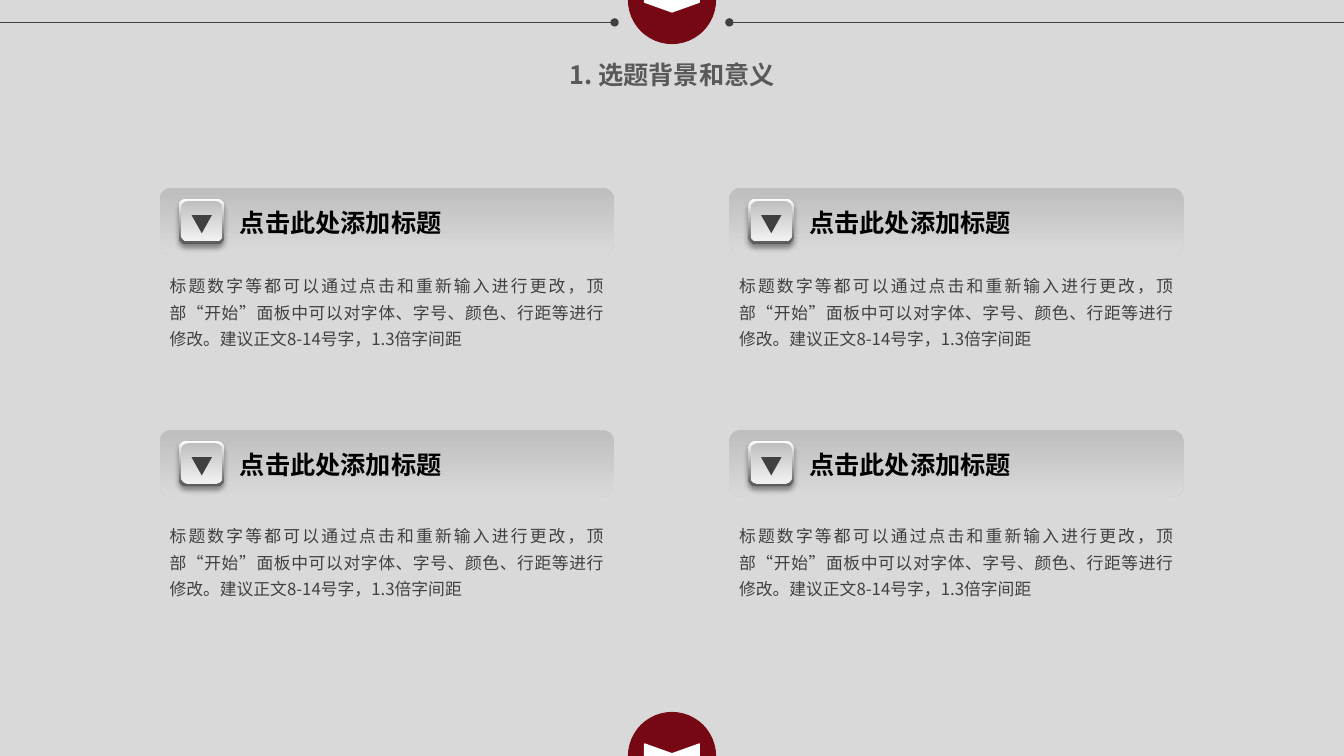
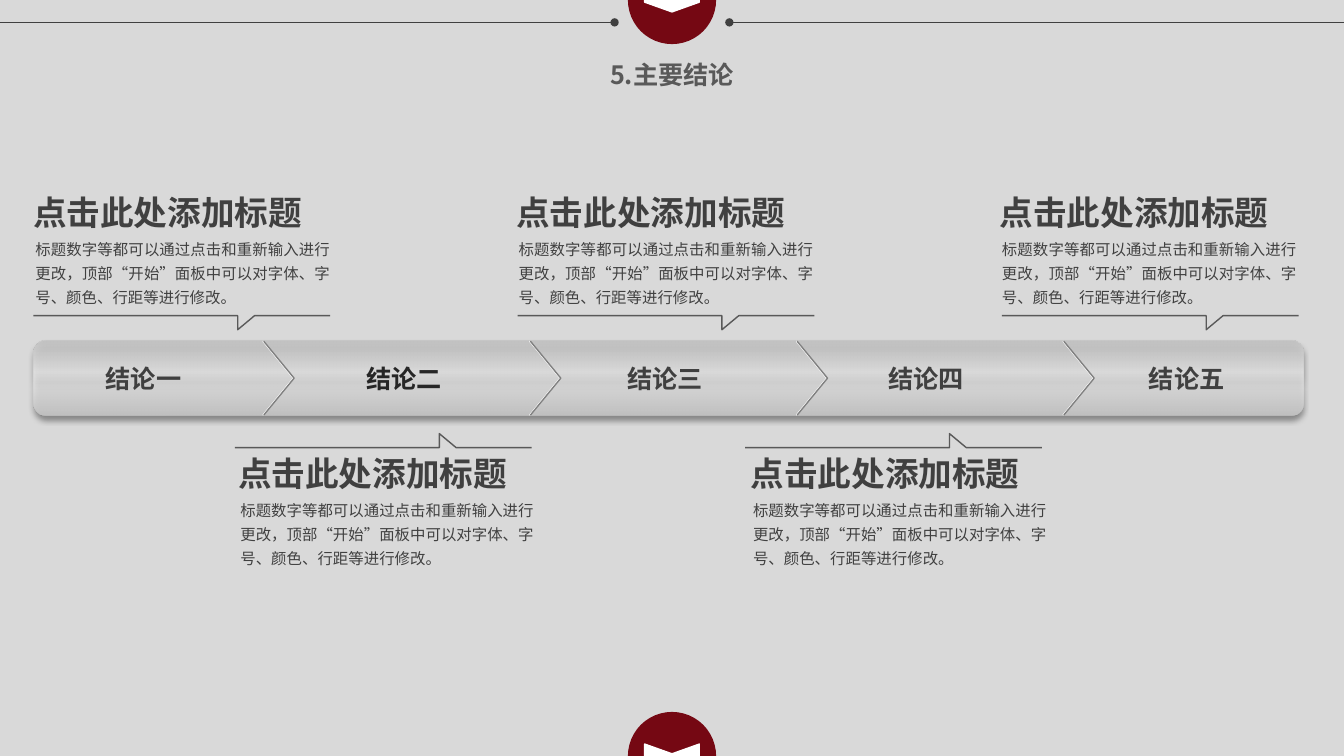
from dataclasses import dataclass

from lxml import etree
from pptx import Presentation
from pptx.dml.color import RGBColor
from pptx.enum import shapes, text
from pptx.oxml import ns
from pptx.util import Pt


@dataclass(frozen=True)
class Theme:
    font: str = "Noto Sans CJK SC"
    back: str = "D9D9D9"
    accent: str = "750813"
    white: str = "FFFFFF"
    black: str = "000000"
    dark: str = "404040"
    darker: str = "262626"
    title: str = "595959"
    edge: str = "808080"
    title_size: float = 18
    heading_size: float = 24
    card_body_size: float = 12
    callout_body_size: float = 11
    leading: float = 1.3


@dataclass(frozen=True)
class Stop:
    pos: int
    color: str
    alpha: int = 100


@dataclass(frozen=True)
class Box:
    x: float
    y: float
    w: float
    h: float

    def emu(self) -> tuple:
        return Pt(self.x), Pt(self.y), Pt(self.w), Pt(self.h)


@dataclass(frozen=True)
class Callout:
    text_x: float
    bracket_x: float
    above: bool


T = Theme()
W, H = 960, 540
SHAPE = shapes.MSO_SHAPE
ALIGN = text.PP_ALIGN

CARD_FILL = (Stop(3, "BFBFBF"), Stop(100, "D9D9D9"))
RIM_FILL = (Stop(0, "FFFFFF"), Stop(100, "595959"))
KEY_FILL = (Stop(0, "BFBFBF"), Stop(100, "F2F2F2"))
BAR_FILL = (Stop(0, "BFBFBF", 86), Stop(42, "E5E5E5", 87),
            Stop(57, "F2F2F2", 60), Stop(100, "BFBFBF"))

HEADING = "点击此处添加标题"
CALLOUT_BODY = ("标题数字等都可以通过点击和重新输入进行更改，顶部“开始”面板中"
                "可以对字体、字号、颜色、行距等进行修改。")
CARD_BODY = CALLOUT_BODY + "建议正文8-14号字，1.3倍字间距"
CONCLUSIONS = ("结论一", "结论二", "结论三", "结论四", "结论五")

CALLOUTS = (
    *(Callout(16.6 + 345.2 * i, 23.8 + 345.9 * i, True) for i in range(3)),
    Callout(163, 167.8, False),
    Callout(529.2, 532.2, False),
)


def rgb(color: str) -> RGBColor:
    return RGBColor.from_string(color)


def add_child(parent, tag: str, **attrs):
    return etree.SubElement(parent, ns.qn(tag),
                            {k: str(v) for k, v in attrs.items()})


def add_color(parent, color: str, alpha: int) -> None:
    clr = add_child(parent, "a:srgbClr", val=color)
    if alpha < 100:
        add_child(clr, "a:alpha", val=alpha * 1000)


def fill_gradient(sp, stops: tuple) -> None:
    """Fill a shape with a top-to-bottom gradient."""
    sp.fill.background()
    sp_pr = sp._element.spPr
    grad = etree.Element(ns.qn("a:gradFill"), rotWithShape="1")
    stop_list = add_child(grad, "a:gsLst")
    for stop in stops:
        gs = add_child(stop_list, "a:gs", pos=stop.pos * 1000)
        add_color(gs, stop.color, stop.alpha)
    add_child(grad, "a:lin", ang=90 * 60000, scaled=0)
    sp_pr.replace(sp_pr.find(ns.qn("a:noFill")), grad)


def drop_shadow(sp) -> None:
    effects = sp._element.spPr.find(ns.qn("a:effectLst"))
    shadow = add_child(effects, "a:outerShdw", blurRad=Pt(4), dist=Pt(3),
                       dir=90 * 60000, algn="t", rotWithShape=0)
    add_color(shadow, T.black, 40)


def add_shape(s, kind, box: Box, fill: str | tuple | None,
              line: str | None = None, rotation: float = 0,
              adjust: float | None = None):
    """Add a preset shape; a tuple of stops as fill makes a gradient."""
    sp = s.shapes.add_shape(kind, *box.emu())
    sp.shadow.inherit = False
    sp.rotation = rotation
    if adjust is not None:
        sp.adjustments[0] = adjust
    if isinstance(fill, tuple):
        fill_gradient(sp, fill)
    elif fill:
        sp.fill.solid()
        sp.fill.fore_color.rgb = rgb(fill)
    else:
        sp.fill.background()
    if line:
        sp.line.color.rgb = rgb(line)
        sp.line.width = Pt(1)
    else:
        sp.line.fill.background()
    return sp


def add_text(s, box: Box, content: str, size: float, color: str,
             bold: bool = False, align=None, leading: float | None = None,
             wrap: bool = True) -> None:
    tf = s.shapes.add_textbox(*box.emu()).text_frame
    tf.word_wrap = wrap
    tf.auto_size = text.MSO_AUTO_SIZE.SHAPE_TO_FIT_TEXT
    p = tf.paragraphs[0]
    p.text = content
    p.alignment = align
    p.line_spacing = leading
    p.font.name = T.font
    p.font.size = Pt(size)
    p.font.bold = bold
    p.font.color.rgb = rgb(color)
    add_child(p._p.pPr.find(ns.qn("a:defRPr")), "a:ea", typeface=T.font)


def add_dotted_rule(s, x1: float, x2: float, y: float) -> None:
    """Draw a horizontal rule with a round dot at x2."""
    rule = s.shapes.add_connector(shapes.MSO_CONNECTOR.STRAIGHT,
                                  Pt(x1), Pt(y), Pt(x2), Pt(y))
    rule.line.color.rgb = rgb(T.dark)
    rule.line.width = Pt(1.25)
    add_child(rule.line._get_or_add_ln(), "a:tailEnd", type="oval")
    add_child(rule._element.spPr, "a:effectLst")


def add_badge(s, center_y: float) -> None:
    """Draw the red disc with its white chevron, cut by the slide edge."""
    d, w, h = 63, 17, 39
    add_shape(s, SHAPE.OVAL, Box((W - d) / 2, center_y - d / 2, d, d), T.accent)
    add_shape(s, SHAPE.CHEVRON, Box((W - w) / 2, center_y - h / 2, w, h),
              T.white, T.white, rotation=90, adjust=0.41)


def add_framed_slide(prs, title: str):
    """Add a blank slide with the shared background, rules, title and badges."""
    s = prs.slides.add_slide(prs.slide_layouts[6])
    s.background.fill.solid()
    s.background.fill.fore_color.rgb = rgb(T.back)
    gap = 41
    add_dotted_rule(s, 0, W / 2 - gap, 16)
    add_dotted_rule(s, W, W / 2 + gap, 16)
    add_text(s, Box(396.5, 39, 167, 29), title, T.title_size, T.title,
             bold=True, align=ALIGN.CENTER)
    for edge in (H, 0):
        add_badge(s, edge)
    return s


def add_card(s, x: float, y: float, body_y: float) -> None:
    w = 324.6
    add_shape(s, SHAPE.ROUNDED_RECTANGLE, Box(x, y, w, 47.5), CARD_FILL)
    add_text(s, Box(x + 50.2, y + 10.5, 192, 29), HEADING, T.title_size,
             T.black, bold=True)
    rim = add_shape(s, SHAPE.ROUNDED_RECTANGLE,
                    Box(x + 13.7, y + 7.7, 32.4, 32.4), RIM_FILL)
    drop_shadow(rim)
    add_shape(s, SHAPE.ROUNDED_RECTANGLE,
              Box(x + 15.5, y + 9.4, 29.3, 28.8), KEY_FILL)
    add_shape(s, SHAPE.ISOSCELES_TRIANGLE, Box(x + 22.8, y + 19.4, 14.6, 13),
              T.dark, rotation=180)
    add_text(s, Box(x, body_y, w, 64), CARD_BODY, T.card_body_size, T.dark,
             align=ALIGN.JUSTIFY, leading=T.leading)


def add_bracket(s, x: float, y: float, tip: float) -> None:
    """Draw an open line whose notch reaches tip points below y."""
    points = [(x + dx, y + dy) for dx, dy in
              ((146, 0), (146, tip), (158, 0), (212, 0))]
    builder = s.shapes.build_freeform(Pt(x), Pt(y), scale=1.0)
    builder.add_line_segments([(Pt(px), Pt(py)) for px, py in points],
                              close=False)
    sp = builder.convert_to_shape()
    sp.shadow.inherit = False
    sp.fill.background()
    sp.line.color.rgb = rgb(T.title)
    sp.line.width = Pt(1)


def add_callout(s, c: Callout) -> None:
    text_y, bracket_y, tip = (133.2, 225.5, 10) if c.above else (319.7, 319.7, -10)
    add_bracket(s, c.bracket_x, bracket_y, tip)
    add_text(s, Box(c.text_x, text_y, 208, 36), HEADING, T.heading_size,
             T.dark, bold=True, wrap=False)
    add_text(s, Box(c.text_x + 1.6, text_y + 31, 224.6, 59), CALLOUT_BODY,
             T.callout_body_size, T.dark, leading=T.leading,
             align=ALIGN.JUSTIFY if c.above else None)


def build_background_slide(prs) -> None:
    s = add_framed_slide(prs, "1. 选题背景和意义")
    for y, body_y in ((134.2, 189.4), (307.2, 368)):
        for x in (114, 520.8):
            add_card(s, x, y, body_y)


def build_conclusion_slide(prs) -> None:
    s = add_framed_slide(prs, "5.主要结论")
    bar = add_shape(s, SHAPE.ROUNDED_RECTANGLE, Box(24.2, 243.2, 906.8, 53.5),
                    BAR_FILL)
    drop_shadow(bar)
    for i in range(len(CONCLUSIONS) - 1):
        for shift, color in ((0, T.white), (0.5, T.edge)):
            add_shape(s, SHAPE.CHEVRON,
                      Box(188 + 190.5 * i + shift, 243.9, 21.6, 52.5),
                      None, color, adjust=1)
    for i, label in enumerate(CONCLUSIONS):
        add_text(s, Box(68.4 + 186.3 * i, 255.6, 69, 29), label, T.title_size,
                 T.darker if i == 1 else T.dark, bold=True, wrap=False)
    for callout in CALLOUTS:
        add_callout(s, callout)


def main() -> None:
    prs = Presentation()
    prs.slide_width, prs.slide_height = Pt(W), Pt(H)
    build_background_slide(prs)
    build_conclusion_slide(prs)
    prs.save("out.pptx")


if __name__ == "__main__":
    main()
